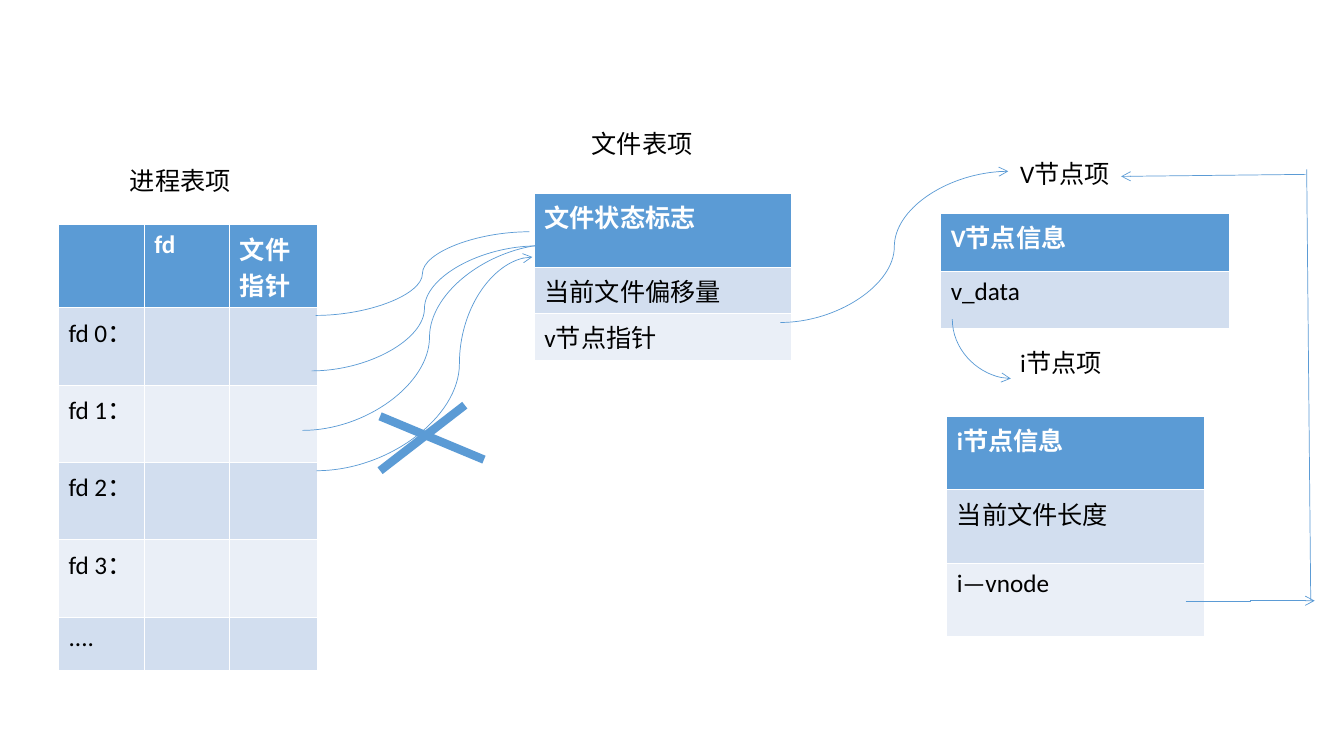
from lxml import etree
from pptx import Presentation
from pptx.dml.color import RGBColor
from pptx.enum.shapes import MSO_CONNECTOR
from pptx.enum.text import MSO_AUTO_SIZE
from pptx.oxml.ns import qn
from pptx.util import Inches, Pt

BLUE = RGBColor(0x5B, 0x9B, 0xD5)
BAND_DARK = RGBColor(0xD2, 0xDE, 0xEF)
BAND_LIGHT = RGBColor(0xEA, 0xEF, 0xF7)
WHITE = RGBColor(0xFF, 0xFF, 0xFF)
BLACK = RGBColor(0, 0, 0)

# Content: left, top, column widths, row heights, rows
TABLES = [
    (0.58, 2.23, [0.85, 0.85, 0.87], [0.53] * 6,
     [["", "fd", "文件指针"]]
     + [[f"fd {number}：", "", ""] for number in range(4)]
     + [["....", "", ""]]),
    (5.3, 1.92, [2.55], [0.73, 0.4, 0.4],
     [["文件状态标志"], ["当前文件偏移量"], ["v节点指针"]]),
    (9.33, 2.12, [2.87], [0.57] * 2, [["V节点信息"], ["v_data"]]),
    (9.39, 4.13, [2.56], [0.73] * 3,
     [["i节点信息"], ["当前文件长度"], ["i—vnode"]]),
]

# Text, left, top, width
LABELS = [
    ("进程表项", 1.19, 1.59, 1.59),
    ("文件表项", 5.77, 1.22, 1.59),
    ("V节点项", 10.02, 1.52, 1.69),
    ("i节点项", 10.02, 3.4, 1.69),
]
LABEL_HEIGHT = 0.71

# Kind, start, end, then options that differ from a thin plain line
CURVE, ELBOW, STRAIGHT = (
    MSO_CONNECTOR.CURVE, MSO_CONNECTOR.ELBOW, MSO_CONNECTOR.STRAIGHT)
LINKS = [
    # Descriptors to the file table
    (CURVE, (3.13, 3.13), (5.25, 2.3), {}),
    (CURVE, (3.09, 3.68), (5.33, 2.44), {}),
    (CURVE, (3, 4.27), (5.52, 2.42), {}),
    (CURVE, (3.14, 4.67), (5.28, 2.55), {"arrow": True, "bend": 66200}),
    # Cross over the last link
    (STRAIGHT, (3.77, 4.13), (4.8, 4.56), {"width": 6}),
    (STRAIGHT, (4.61, 4.02), (3.77, 4.67), {"width": 6}),
    # File table to V node, V node to i node
    (CURVE, (7.74, 3.2), (10, 1.7), {"arrow": True}),
    (CURVE, (9.44, 3.75), (10.03, 3.17), {"arrow": True, "quarter": True}),
    # i node back to V node
    (ELBOW, (11.76, 5.97), (13.04, 5.96), {"arrow": True}),
    (STRAIGHT, (13, 5.95), (12.96, 1.68), {}),
    (STRAIGHT, (12.95, 1.73), (11.12, 1.75), {"arrow": True}),
]


def write(frame, text, color, bold=False):
    para = frame.paragraphs[0]
    font = para.font
    if text:
        span = para.add_run()
        span.text = text
        font = span.font
    for name, value in {"name": "Calibri", "size": Pt(18), "bold": bold}.items():
        setattr(font, name, value)
    font.color.rgb = color


def add_grid(page, left, top, widths, heights, rows):
    table = page.shapes.add_table(
        len(rows), len(widths), Inches(left), Inches(top),
        Inches(sum(widths)), Inches(sum(heights))).table
    for column, width in zip(table.columns, widths):
        column.width = Inches(width)
    for index, (row, height, texts) in enumerate(zip(table.rows, heights, rows)):
        row.height = Inches(height)
        header = index == 0
        band = BAND_DARK if index % 2 else BAND_LIGHT
        for cell, text in zip(row.cells, texts):
            cell.fill.solid()
            cell.fill.fore_color.rgb = BLUE if header else band
            write(cell.text_frame, text, WHITE if header else BLACK, header)


def add_label(page, text, left, top, width):
    box = page.shapes.add_textbox(
        Inches(left), Inches(top), Inches(width), Inches(LABEL_HEIGHT))
    box.text_frame.word_wrap = True
    box.text_frame.auto_size = MSO_AUTO_SIZE.SHAPE_TO_FIT_TEXT
    write(box.text_frame, text, BLACK)


def add_link(page, kind, start, end, options):
    link = page.shapes.add_connector(
        kind, *(Inches(value) for value in start + end))
    link.line.color.rgb = BLUE
    link.line.width = Pt(options.get("width", 0.5))
    properties = link._element.spPr
    etree.SubElement(properties, qn("a:effectLst"))
    geometry = properties.find(qn("a:prstGeom"))
    if options.get("arrow"):
        etree.SubElement(properties.find(qn("a:ln")), qn("a:tailEnd"), type="arrow")
    if "bend" in options:
        etree.SubElement(geometry.find(qn("a:avLst")), qn("a:gd"),
                         name="adj1", fmla=f"val {options['bend']}")
    if options.get("quarter"):
        # One quarter turn: leaves downwards, arrives from the left
        geometry.set("prst", "curvedConnector2")
        properties.find(qn("a:xfrm")).set("rot", "5400000")


def main():
    deck = Presentation()
    deck.slide_width, deck.slide_height = Inches(13.33), Inches(7.5)
    page = deck.slides.add_slide(deck.slide_layouts[6])
    for table in TABLES:
        add_grid(page, *table)
    for label in LABELS:
        add_label(page, *label)
    for link in LINKS:
        add_link(page, *link)
    deck.save("out.pptx")


if __name__ == "__main__":
    main()
